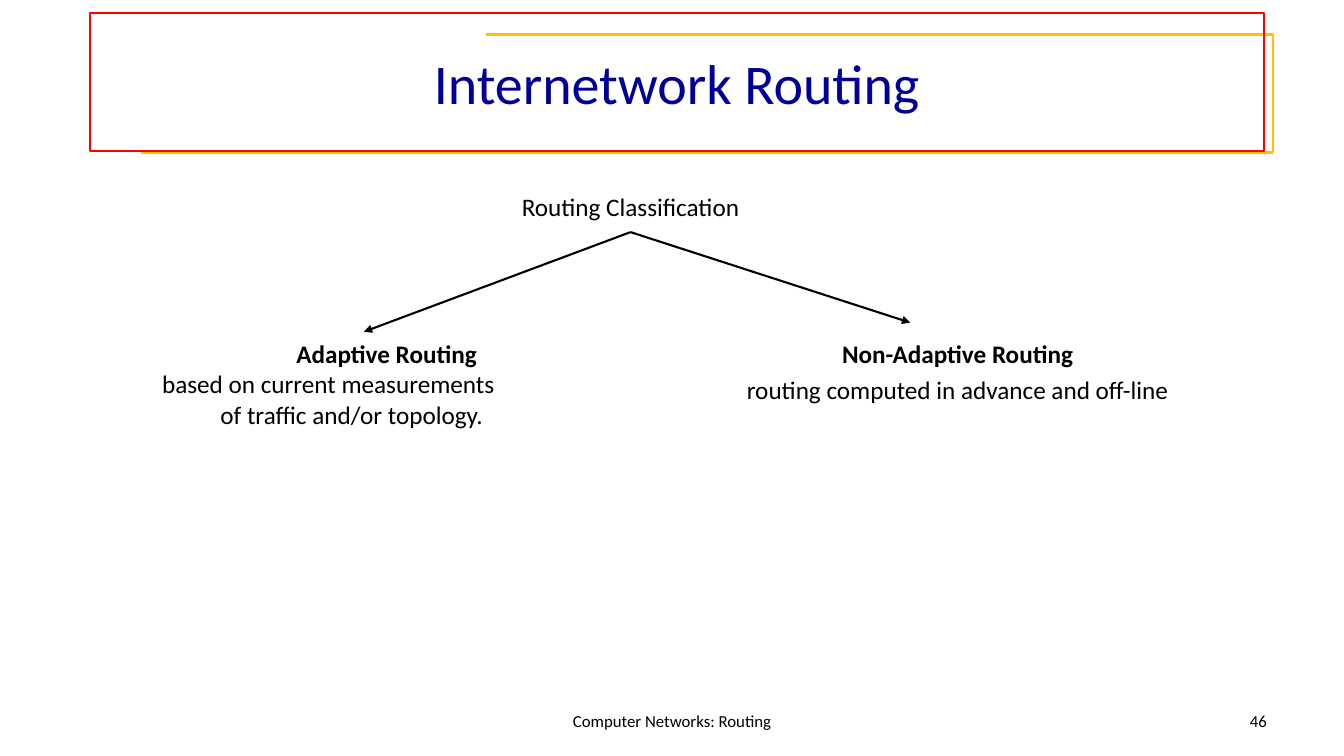
from pptx import Presentation
from pptx.dml.color import RGBColor
from pptx.enum.shapes import MSO_CONNECTOR, MSO_SHAPE
from pptx.enum.text import MSO_ANCHOR, PP_ALIGN
from pptx.oxml.ns import qn
from pptx.util import Cm, Pt
from lxml.etree import SubElement

BLACK = RGBColor(0, 0, 0)
WHITE = RGBColor(255, 255, 255)
RED = RGBColor(255, 0, 0)
GOLD = RGBColor(0xFF, 0xC1, 0x00)
NAVY = RGBColor(0, 0, 0x99)


def write(p, text, size, color=BLACK, align=PP_ALIGN.CENTER, bold=False):
    p.add_run().text = text
    p.alignment = align
    p.font.name = "Calibri"
    p.font.size = Pt(size)
    p.font.bold = bold
    p.font.color.rgb = color


def add_rect(s, left, top, width, height, line, weight, fill=None):
    sp = s.shapes.add_shape(MSO_SHAPE.RECTANGLE, Cm(left), Cm(top), Cm(width), Cm(height))
    sp.shadow.inherit = False
    if fill is None:
        sp.fill.background()
    else:
        sp.fill.solid()
        sp.fill.fore_color.rgb = fill
    sp.line.color.rgb = line
    sp.line.width = Pt(weight)
    return sp


def add_node(s, left, top, width, height, heading, inset, bold=True, anchor=MSO_ANCHOR.TOP):
    sp = add_rect(s, left, top, width, height, WHITE, 0.75, WHITE)
    tf = sp.text_frame
    tf.word_wrap = False
    tf.vertical_anchor = anchor
    tf.margin_top = Cm(inset)
    write(tf.paragraphs[0], heading, 18, bold=bold)
    return sp


def add_hanging(tf, text):
    p = tf.add_paragraph()
    pPr = p._p.get_or_add_pPr()
    pPr.set("marL", str(Cm(1.47)))
    pPr.set("indent", str(-Cm(1.47)))
    write(p, text, 18, align=PP_ALIGN.LEFT)


def add_line(s, start, end, color, weight, arrow=False):
    c = s.shapes.add_connector(MSO_CONNECTOR.STRAIGHT, *map(Cm, start + end))
    c.line.color.rgb = color
    c.line.width = Pt(weight)
    if arrow:
        SubElement(c.line._get_or_add_ln(), qn("a:tailEnd"), type="triangle")
    SubElement(c._element.spPr, qn("a:effectLst"))
    return c


def add_footer(s, left, width, text, align):
    tf = s.shapes.add_textbox(Cm(left), Cm(17.65), Cm(width), Cm(1.02)).text_frame
    tf.word_wrap = True
    tf.vertical_anchor = MSO_ANCHOR.MIDDLE
    write(tf.paragraphs[0], text, 12, align=align)


def main():
    prs = Presentation()
    prs.slide_width, prs.slide_height = Cm(33.87), Cm(19.05)
    s = prs.slides.add_slide(prs.slide_layouts[6])

    corners = [(12.24, 0.86), (32.08, 0.86), (32.08, 3.84), (3.56, 3.84)]
    for start, end in zip(corners, corners[1:]):
        add_line(s, start, end, GOLD, 2)

    add_footer(s, 11.58, 10.72, "Computer Networks: Routing", PP_ALIGN.CENTER)
    add_footer(s, 24.28, 7.9, "46", PP_ALIGN.RIGHT)

    title = add_rect(s, 2.26, 0.33, 29.59, 3.48, RED, 1.5)
    title.text_frame.vertical_anchor = MSO_ANCHOR.MIDDLE
    write(title.text_frame.paragraphs[0], "Internetwork Routing", 40, NAVY)

    root = add_node(s, 11.23, 4.45, 9.32, 1.4, "Routing Classification", 0.25,
                    bold=False, anchor=MSO_ANCHOR.MIDDLE)

    adaptive = add_node(s, 4.45, 8.46, 10.59, 4.01, "Adaptive Routing", 0.07)
    add_hanging(adaptive.text_frame, "based on current measurements")
    add_hanging(adaptive.text_frame, "\tof traffic and/or topology.")

    fixed = add_node(s, 18.42, 8.26, 11.43, 3.81, "Non-Adaptive Routing", 0.27)
    p = fixed.text_frame.add_paragraph()
    p.space_before = Pt(4)
    write(p, "routing computed in advance and off-line", 18)

    for tip in [(9.17, 8.36), (22.94, 8.13)]:
        arrow = add_line(s, (15.89, 5.85), tip, BLACK, 1.5, arrow=True)
        arrow.begin_connect(root, 2)

    prs.save("out.pptx")


if __name__ == "__main__":
    main()
